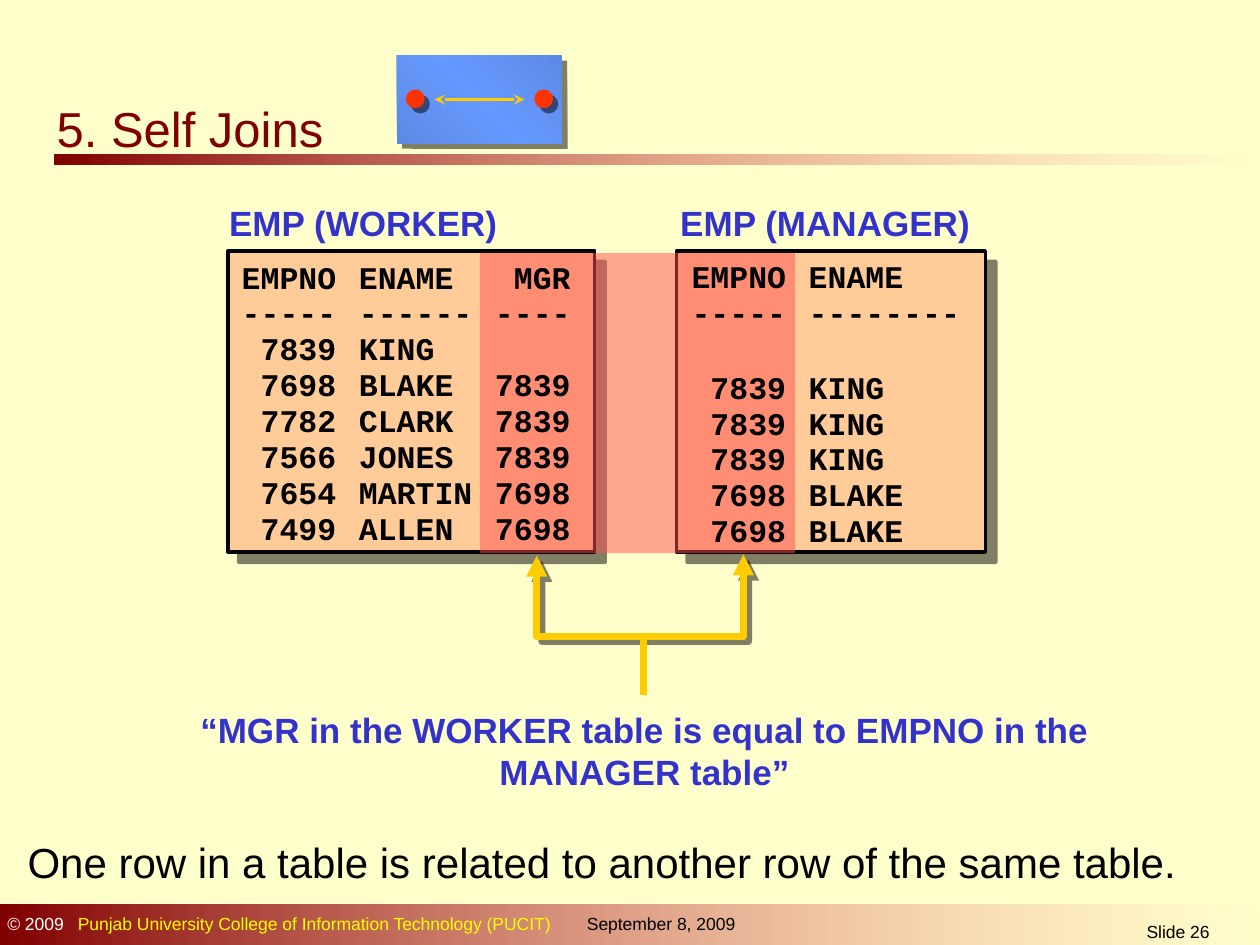
import lxml.etree
import pptx
import pptx.dml.color
import pptx.enum.shapes
import pptx.enum.text
import pptx.oxml
import pptx.oxml.ns
import pptx.util

COLORS = {
    "background": "FFFFCC", "maroon": "800000", "fade": "FF8585", "panel": "FFCC99",
    "match": "FF5050", "arrow": "FFCC00", "heading": "3333CC", "text": "000000",
    "white": "FFFFFF", "yellow": "FFFF00", "dot": "FF3300",
    "blue": "6699FF", "blue_edge": "5C89E5",
}
WORKER_ROWS = (
    ("EMPNO", "ENAME", "MGR"), ("-----", "------", "----"), ("7839", "KING"),
    ("7698", "BLAKE", "7839"), ("7782", "CLARK", "7839"), ("7566", "JONES", "7839"),
    ("7654", "MARTIN", "7698"), ("7499", "ALLEN", "7698"),
)
MANAGER_ROWS = (
    ("EMPNO", "ENAME"), ("-----", "--------"), ("7839", "KING"), ("7839", "KING"),
    ("7839", "KING"), ("7698", "BLAKE"), ("7698", "BLAKE"),
)
COLUMN_TABS = ((0.75, "r"), (0.93, "l"), (2.61, "r"))
SHAPES = pptx.enum.shapes.MSO_SHAPE
CENTER = pptx.enum.text.PP_ALIGN.CENTER
LEFT = pptx.enum.text.PP_ALIGN.LEFT
PANEL_TOP, PANEL_HEIGHT = 1.99, 2.39


def rgb(name):
    """Return the named color."""
    return pptx.dml.color.RGBColor.from_string(COLORS[name])


def inches(*lengths):
    """Convert lengths in inches."""
    return [pptx.util.Inches(length) for length in lengths]


def add_child(parent, tag, **attributes):
    """Append a DrawingML element."""
    values = {key: str(value) for key, value in attributes.items()}
    return lxml.etree.SubElement(parent, pptx.oxml.ns.qn("a:" + tag), values)


def set_shadow(shape, distance):
    """Give a shape a half-transparent shadow to the lower right."""
    shape.shadow.inherit = False
    if distance:
        effects = shape._element.spPr.find(pptx.oxml.ns.qn("a:effectLst"))
        shadow = add_child(effects, "outerShdw", blurRad=0, dist=pptx.util.Pt(distance),
                           dir=45 * 60000, algn="ctr", rotWithShape=0)
        add_child(add_child(shadow, "srgbClr", val=COLORS["text"]), "alpha", val=50000)


def add_block(slide, box, fill=None, kind=SHAPES.RECTANGLE, outline=0, shadow=0, alpha=None):
    """Add a preset shape."""
    shape = slide.shapes.add_shape(kind, *inches(*box))
    set_shadow(shape, shadow)
    if fill:
        shape.fill.solid()
        shape.fill.fore_color.rgb = rgb(fill)
    if alpha is not None:
        color = shape._element.spPr.find(".//" + pptx.oxml.ns.qn("a:srgbClr"))
        add_child(color, "alpha", val=alpha * 1000)
    if outline:
        shape.line.color.rgb = rgb("text")
        shape.line.width = pptx.util.Pt(outline)
    else:
        shape.line.fill.background()
    return shape


def set_gradient(shape, stops, angle):
    """Fill a shape with stops of position, color and opacity."""
    shape.fill.gradient()
    gradient = shape._element.spPr.find(pptx.oxml.ns.qn("a:gradFill"))
    for child in list(gradient):
        gradient.remove(child)
    stop_list = add_child(gradient, "gsLst")
    for position, name, opacity in stops:
        color = add_child(add_child(stop_list, "gs", pos=position * 1000), "srgbClr", val=COLORS[name])
        add_child(color, "alpha", val=opacity * 1000)
    add_child(gradient, "lin", ang=angle * 60000, scaled=0)


def add_fading_bar(slide, box):
    """Add a bar that fades out to the right."""
    set_gradient(add_block(slide, box), ((0, "maroon", 100), (100, "fade", 0)), 0)


def set_tabs(paragraph, tabs):
    """Set the tab stops of a paragraph."""
    tab_list = add_child(paragraph._p.get_or_add_pPr(), "tabLst")
    for position, alignment in tabs:
        add_child(tab_list, "tab", pos=pptx.util.Inches(position), algn=alignment)


def format_paragraph(paragraph, size, color, bold=False, align=LEFT, font="Arial"):
    """Set the font and alignment of a paragraph."""
    paragraph.alignment = align
    paragraph.font.name = font
    paragraph.font.size = pptx.util.Pt(size)
    paragraph.font.bold = bold
    if color:
        paragraph.font.color.rgb = rgb(color)


def add_text(slide, box, text, size, color, wrap=True, **style):
    """Add a one-paragraph text box."""
    frame = slide.shapes.add_textbox(*inches(*box)).text_frame
    frame.word_wrap = wrap
    frame.text = text
    format_paragraph(frame.paragraphs[0], size, color, **style)


def add_listing(slide, box, rows, gap_row=None):
    """Add rows of query output aligned on tab stops."""
    frame = slide.shapes.add_textbox(*inches(*box)).text_frame
    frame.word_wrap = True
    for index, row in enumerate(rows):
        paragraph = frame.add_paragraph() if index else frame.paragraphs[0]
        paragraph.text = "\t" + "\t".join(row)
        paragraph.line_spacing = pptx.util.Pt(20.5)
        if index == gap_row:
            paragraph.space_before = pptx.util.Pt(22)
        set_tabs(paragraph, COLUMN_TABS)
        format_paragraph(paragraph, 18, "text", bold=True, font="Courier New")


def style_line(shape, width, arrowhead=None):
    """Color a line and put arrowheads on both ends."""
    shape.line.color.rgb = rgb("arrow")
    shape.line.width = pptx.util.Pt(width)
    if arrowhead:
        line = shape.line._get_or_add_ln()
        add_child(line, "round")
        for end in ("headEnd", "tailEnd"):
            add_child(line, end, type=arrowhead)


def add_line(slide, start, end, width, arrowhead=None):
    """Add a straight connector."""
    line = slide.shapes.add_connector(
        pptx.enum.shapes.MSO_CONNECTOR.STRAIGHT, *inches(*start, *end))
    style_line(line, width, arrowhead)
    add_child(line._element.spPr, "effectLst")


def add_bracket(slide, points):
    """Add the open line that joins the two matching columns."""
    first, *rest = [inches(*point) for point in points]
    builder = slide.shapes.build_freeform(*first, scale=1.0)
    builder.add_line_segments(rest, close=False)
    shape = builder.convert_to_shape()
    shape.fill.background()
    set_shadow(shape, 4.2)
    style_line(shape, 4, "triangle")


def add_footer(slide):
    """Add the footer bar and its texts."""
    add_fading_bar(slide, (0, 7.18, 10.03, 0.35))
    frame = slide.shapes.add_textbox(*inches(-0.04, 7.2, 4.6, 0.27)).text_frame
    frame.word_wrap = True
    paragraph = frame.paragraphs[0]
    set_tabs(paragraph, ((0.56, "l"),))
    for text, color in (("© 2009", "white"),
                        ("\tPunjab University College of Information Technology (PUCIT)", "yellow")):
        run = paragraph.add_run()
        run.text = text
        run.font.color.rgb = rgb(color)
    format_paragraph(paragraph, 10, None)
    add_text(slide, (4.56, 7.2, 1.54, 0.27), "September 8, 2009", 10, "text")
    add_text(slide, (8.31, 7.26, 2.08, 0.24), "Slide 26", 10, "text", align=CENTER)


def add_join_icon(slide):
    """Add the card with two dots joined by an arrow."""
    card = add_block(slide, (3.15, 0.44, 1.31, 0.7), shadow=4.2)
    set_gradient(card, ((0, "blue_edge", 100), (50, "blue", 100), (100, "blue_edge", 100)), 315)
    for left in (3.22, 4.24):
        add_block(slide, (left, 0.71, 0.15, 0.15), "dot", SHAPES.OVAL, shadow=4.2)
    add_line(slide, (3.45, 0.79), (4.16, 0.79), 2, "stealth")


def main():
    """Build the slide."""
    presentation = pptx.Presentation()
    presentation.slide_width, presentation.slide_height = inches(10, 7.5)
    slide = presentation.slides.add_slide(presentation.slide_layouts[5])
    slide.background.fill.solid()
    slide.background.fill.fore_color.rgb = rgb("background")
    title = slide.shapes.title
    title.left, title.top, title.width, title.height = inches(0.35, 0.72, 2.91, 0.59)
    title.text_frame.text = "5. Self Joins"
    format_paragraph(title.text_frame.paragraphs[0], 28, "maroon")
    add_fading_bar(slide, (0.43, 1.23, 9.57, 0.08))
    add_footer(slide)
    for left, width in ((1.81, 2.91), (5.37, 2.45)):
        add_block(slide, (left, PANEL_TOP, width, PANEL_HEIGHT), "panel", outline=2, shadow=8.5)
    for left, width, heading in ((1.72, 2.34, "EMP (WORKER)"), (5.3, 2.51, "EMP (MANAGER)")):
        add_text(slide, (left, 1.55, width, 0.43), heading, 20, "heading", wrap=False, bold=True)
    add_block(slide, (3.81, 2.01, 2.5, 2.38), "match", alpha=50)
    add_text(slide, (1.46, 5.57, 7.31, 0.77),
             "“MGR in the WORKER table is equal to EMPNO in the MANAGER table”",
             20, "heading", bold=True, align=CENTER)
    add_bracket(slide, ((4.26, 4.41), (4.26, 5.05), (5.9, 5.05), (5.9, 4.4)))
    add_line(slide, (5.11, 5.04), (5.11, 5.52), 4)
    add_listing(slide, (1.82, 2.01, 2.88, 2.38), WORKER_ROWS)
    add_listing(slide, (5.39, 2.01, 2.42, 2.4), MANAGER_ROWS, gap_row=2)
    add_join_icon(slide)
    add_text(slide, (0.12, 6.59, 9.61, 0.5),
             "One row in a table is related to another row of the same table.", 24, "text")
    presentation.save("out.pptx")


if __name__ == "__main__":
    main()
